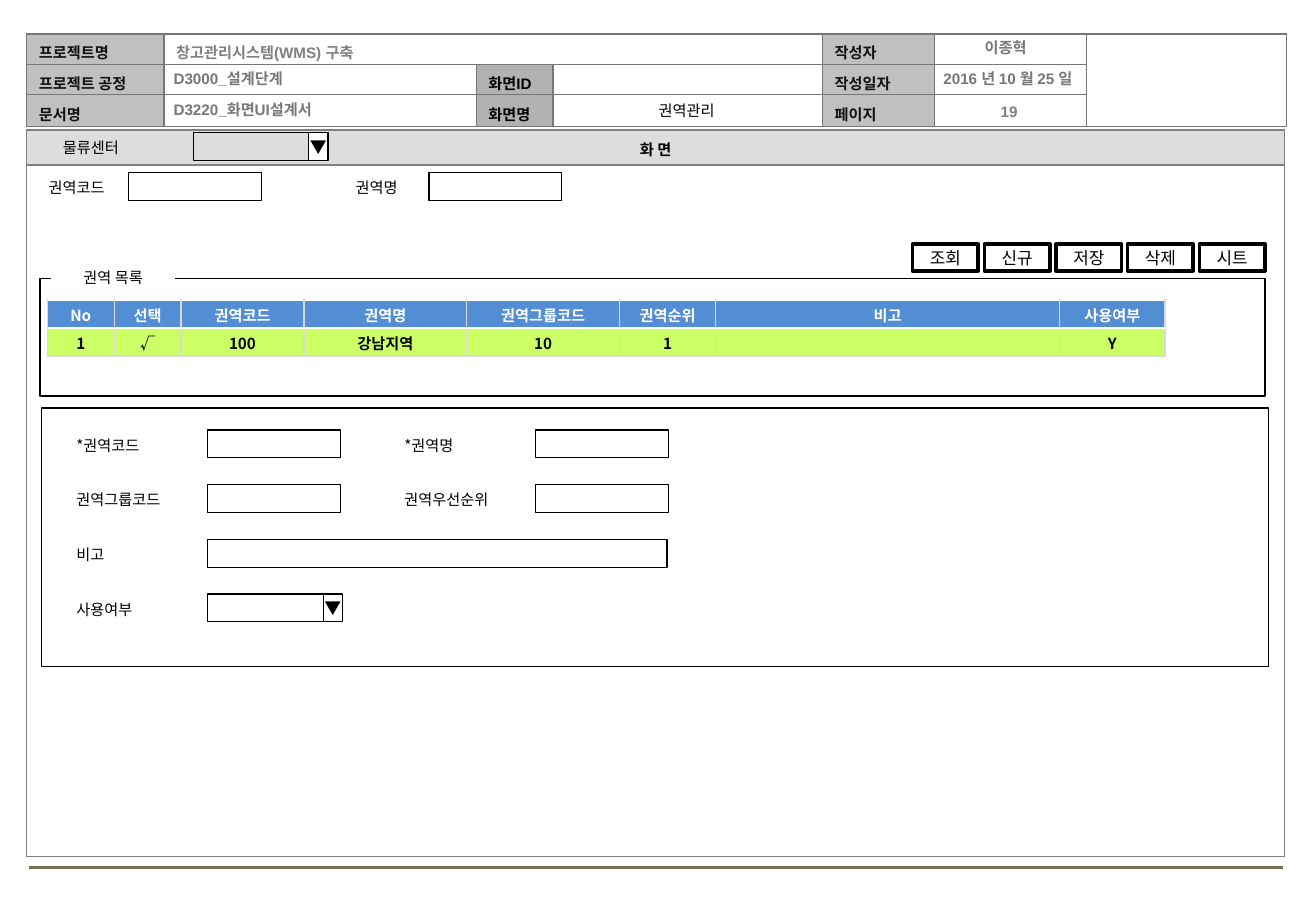
from lxml import etree
from pptx import Presentation
from pptx import util as u
from pptx.dml.color import RGBColor
from pptx.enum import shapes, text
from pptx.oxml import ns

PX = 9144  # one px is a hundredth of an inch
COLORS = {
    "black": "000000", "white": "FFFFFF", "ink": "111111", "value": "777777",
    "page": "7F7F7F", "project": "808080", "label": "C0C0C0", "screen": "B2B2B2",
    "bar": "DDDDDD", "rule": "777777", "edge": "808080", "footer": "7A6F54",
    "head": "538ED5", "row": "CCFF66", "grid": "D9D9D9",
}
NOTO = "Noto Sans CJK KR"
BODY = {"name": NOTO, "size": u.Pt(9), "bold": False}
BOLD = {"name": NOTO, "size": u.Pt(9), "bold": True}
ARIAL = {"name": "Arial", "size": u.Pt(9), "bold": True}
BUTTON = {"name": NOTO, "size": u.Pt(10), "bold": False}
LEFT, CENTER = text.PP_ALIGN.LEFT, text.PP_ALIGN.CENTER
TOP, MIDDLE = text.MSO_ANCHOR.TOP, text.MSO_ANCHOR.MIDDLE


def px(*lengths):
    return [u.Emu(length * PX) for length in lengths]


def rgb(name):
    return RGBColor.from_string(COLORS[name])


def apply(target, values):
    for name, value in values.items():
        setattr(target, name, value)


def margins(left, top, right, bottom):
    names = ("margin_left", "margin_top", "margin_right", "margin_bottom")
    return dict(zip(names, px(left, top, right, bottom)))


def paint(fill, color):
    if color:
        fill.solid()
        fill.fore_color.rgb = rgb(color)
    else:
        fill.background()


def write(frame, content, font, color="black", align=LEFT):
    para = frame.paragraphs[0]
    para.alignment = align
    span = para.add_run()
    span.text = content
    apply(span.font, font)
    span.font.color.rgb = rgb(color)
    east_asian = etree.SubElement(span.font._element, ns.qn("a:ea"))
    east_asian.set("typeface", NOTO)
    # Keep the schema order: latin comes before ea
    span.font._element.append(east_asian)


def add_label(page, content, x, y, width, font=BODY, color="black", align=LEFT):
    box = page.shapes.add_textbox(*px(x, y, width, 25))
    box.text_frame.word_wrap = True
    write(box.text_frame, content, font, color, align)


def add_box(page, x, y, width, height=23, fill=None, line="black", weight=0.75):
    box = page.shapes.add_shape(shapes.MSO_SHAPE.RECTANGLE, *px(x, y, width, height))
    box.shadow.inherit = False
    paint(box.fill, fill)
    if line:
        box.line.color.rgb = rgb(line)
        box.line.width = u.Pt(weight)
    else:
        box.line.fill.background()
    return box


def add_button(page, content, x, y, width, height, weight):
    box = add_box(page, x, y, width, height, "white", weight=weight)
    apply(box.text_frame, {"word_wrap": False, "vertical_anchor": MIDDLE, **margins(2, 4, 2, 4)})
    write(box.text_frame, content, BUTTON, align=CENTER)


def add_field(page, content, label_x, y, label_width, box_x, box_width=109,
              fill=None, align=LEFT, dropdown=False):
    add_label(page, content, label_x, y, label_width, align=align)
    add_box(page, box_x, y, box_width, fill=fill)
    if dropdown:
        add_button(page, "▼", box_x + 95, y, 16, 23, 0.75)


def add_grid(page, x, y, columns, rows):
    frame = page.shapes.add_table(len(rows), len(columns), *px(x, y, sum(columns), sum(rows)))
    table = frame.table
    apply(table, {"first_row": False, "horz_banding": False})
    for column, width in zip(table.columns, px(*columns)):
        column.width = width
    for row, height in zip(table.rows, px(*rows)):
        row.height = height
    return table


def format_cell(cell, content, font, color, fill, border, sides="LRTB", align=LEFT,
                inset=(10, 5, 10, 0)):
    apply(cell, {"vertical_anchor": MIDDLE, **margins(*inset)})
    if content:
        write(cell.text_frame, content, font, color, align)
    else:
        para = cell.text_frame.paragraphs[0]
        etree.SubElement(para._p, ns.qn("a:endParaRPr")).set("sz", "900")
    properties = cell._tc.get_or_add_tcPr()
    for side in sides:
        line = etree.SubElement(properties, ns.qn(f"a:ln{side}"), w=str(u.Pt(1)))
        solid = etree.SubElement(line, ns.qn("a:solidFill"))
        etree.SubElement(solid, ns.qn("a:srgbClr"), val=COLORS[border])
    paint(cell.fill, fill)


def add_document_header(page):
    table = add_grid(page, 22, 28, [113, 257, 63, 222, 92, 125, 165], [25, 25, 26])
    rows = [
        ["프로젝트명", "창고관리시스템(WMS) 구축", "", "", "작성자", "", ""],
        ["프로젝트 공정", "", "화면ID", "", "작성일자", "", ""],
        ["문서명", "", "화면명", "", "페이지", "", ""],
    ]
    styles = {0: ("ink", "label"), 1: ("project", None), 2: ("black", "screen"), 4: ("ink", "label")}
    for r, row in enumerate(rows):
        for c, content in enumerate(row):
            color, fill = styles.get(c, ("black", None))
            format_cell(table.cell(r, c), content, ARIAL, color, fill if content else None, "rule")
    table.cell(0, 1).merge(table.cell(0, 3))
    table.cell(0, 6).merge(table.cell(2, 6))
    # Values over the header cells
    add_label(page, "D3000_설계단계", 133, 52, 542, ARIAL, "value")
    add_label(page, "D3220_화면UI설계서", 133, 78, 541, ARIAL, "value")
    add_label(page, "이종혁", 749, 27, 157, BOLD, "value", CENTER)
    add_label(page, "2016 년 10 월 25 일", 751, 52, 157, ARIAL, "value", CENTER)
    add_label(page, "19", 768, 79, 125, ARIAL, "page", CENTER)


def add_screen_area(page):
    table = add_grid(page, 22, 107, [1035], [29, 569])
    for r, (content, fill) in enumerate([("화 면", "bar"), ("", None)]):
        format_cell(table.cell(r, 0), content, ARIAL, "black", fill, "edge",
                    align=CENTER, inset=(2, 2, 2, 0))
    line = page.shapes.add_connector(shapes.MSO_CONNECTOR.STRAIGHT, *px(24, 714, 1056, 714))
    line.line.color.rgb = rgb("footer")
    line.line.width = u.Pt(1.75)
    etree.SubElement(line._element.spPr, ns.qn("a:effectLst"))


def add_region_list(page):
    table = add_grid(page, 39, 247, [55, 55, 101, 134, 126, 79, 283, 87], [23, 23])
    rows = [
        ["No", "선택", "권역코드", "권역명", "권역그룹코드", "권역순위", "비고", "사용여부"],
        ["1", "√", "100", "강남지역", "10", "1", "", "Y"],
    ]
    for r, (row, color, fill) in enumerate(zip(rows, ["white", "black"], ["head", "row"])):
        for c, content in enumerate(row):
            format_cell(table.cell(r, c), content, BOLD, color, fill, "grid", "LRB",
                        CENTER, (1, 1, 1, 0))
    add_box(page, 33, 229, 1008, 97)
    caption = add_box(page, 42, 216, 102, 25, "white", None)
    caption.text_frame.vertical_anchor = TOP
    write(caption.text_frame, "권역 목록", BODY, align=CENTER)


def add_detail_form(page):
    add_box(page, 34, 336, 1010, 213)
    form = [
        ("*권역코드", 0, 0, {}),
        ("*권역명", 1, 0, {}),
        ("권역그룹코드", 0, 1, {}),
        ("권역우선순위", 1, 1, {}),
        ("비고", 0, 2, {"box_width": 378}),
        ("사용여부", 0, 3, {"dropdown": True}),
    ]
    for content, column, row, options in form:
        x = 53 + 270 * column
        add_field(page, content, x, 354 + 45 * row, 117, x + 118, **options)


def main():
    deck = Presentation()
    deck.slide_width, deck.slide_height = px(1083, 750)
    page = deck.slides.add_slide(deck.slide_layouts[5])

    # Screen name as the title
    title = page.shapes.title
    apply(title, dict(zip(("left", "top", "width", "height"), px(456, 78, 218, 25))))
    apply(title.text_frame, {"word_wrap": True, "vertical_anchor": TOP,
                             "auto_size": text.MSO_AUTO_SIZE.NONE, **margins(10, 5, 10, 5)})
    write(title.text_frame, "권역관리", BODY, align=CENTER)

    add_document_header(page)
    add_screen_area(page)

    # Search fields
    add_field(page, "물류센터", 42, 109, 117, 159, dropdown=True)
    add_field(page, "권역코드", 23, 142, 80, 106, fill="white", align=CENTER)
    add_field(page, "권역명", 270, 142, 80, 353, fill="white", align=CENTER)

    add_region_list(page)
    # Command buttons
    for i, command in enumerate(["조회", "신규", "저장", "삭제", "시트"]):
        add_button(page, command, 751 + 59 * i, 201, 54, 22, 2)
    add_detail_form(page)
    deck.save("out.pptx")


if __name__ == "__main__":
    main()
